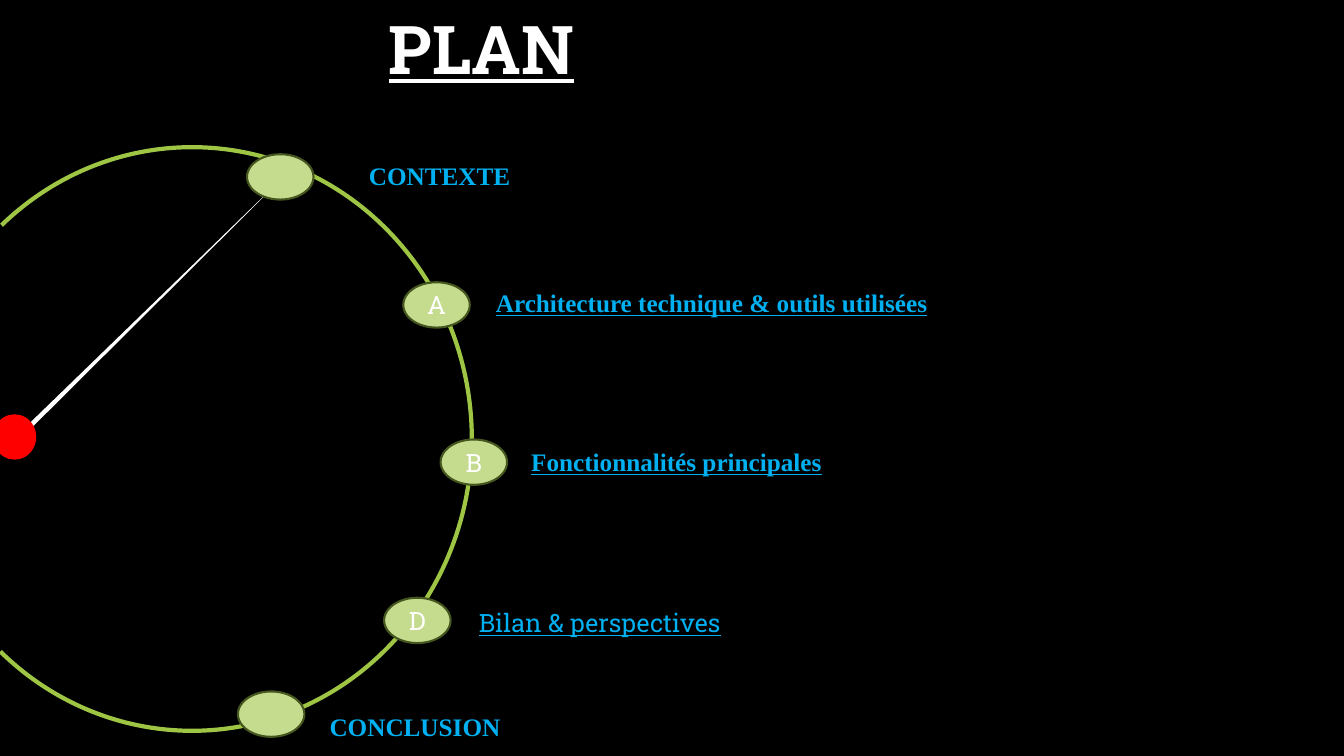
import pptx
import pptx.dml.color
import pptx.enum.shapes
import pptx.enum.text
import pptx.util

Inches = pptx.util.Inches
Pt = pptx.util.Pt
RGBColor = pptx.dml.color.RGBColor
Shape = pptx.enum.shapes.MSO_SHAPE
Anchor = pptx.enum.text.MSO_ANCHOR
Align = pptx.enum.text.PP_ALIGN

BLACK = RGBColor(0x00, 0x00, 0x00)
WHITE = RGBColor(0xFF, 0xFF, 0xFF)
RED = RGBColor(0xFF, 0x00, 0x00)
GREEN = RGBColor(0x9E, 0xC5, 0x44)
PALE_GREEN = RGBColor(0xC5, 0xDC, 0x8F)
DARK_GREEN = RGBColor(0x45, 0x56, 0x1E)
BLUE = RGBColor(0x00, 0xB0, 0xF0)

SLAB = "Roboto Slab"
TIMES = "Times New Roman"
STOP_SIZE = (0.66, 0.45)

STOPS = [
    ("", (2.45, 1.53), "CONTEXTE", (3.56, 1.54, 2.45, 0.71), TIMES, True, False),
    ("A", (4, 2.8), "Architecture technique & outils utilisées",
     (4.82, 2.8, 5.84, 1.31), TIMES, True, True),
    ("B", (4.37, 4.36), "Fonctionnalités principales",
     (5.17, 4.38, 4.86, 1.01), TIMES, True, True),
    ("D", (3.81, 5.93), "Bilan & perspectives",
     (4.65, 5.98, 5.89, 0.71), SLAB, False, True),
    ("", (2.36, 6.86), "CONCLUSION", (3.17, 7.01, 2.45, 0.49), TIMES, True, False),
]


def add_shape(page, kind, box, fill=None, line=None, weight=0):
    shape = page.shapes.add_shape(kind, *map(Inches, box))
    shape.shadow.inherit = False
    if fill is None:
        shape.fill.background()
    else:
        shape.fill.solid()
        shape.fill.fore_color.rgb = fill
    if line is None:
        shape.line.fill.background()
    else:
        shape.line.color.rgb = line
        shape.line.width = Pt(weight)
    return shape


def write(frame, text, name, size, color, bold=False, underline=False):
    frame.word_wrap = True
    para = frame.paragraphs[0]
    para.text = text
    font = para.font
    font.name = name
    font.size = Pt(size)
    font.color.rgb = color
    font.bold = bold
    font.underline = underline
    return para


def add_title(page, box):
    frame = page.shapes.add_textbox(*map(Inches, box)).text_frame
    frame.vertical_anchor = Anchor.BOTTOM
    para = write(frame, "PLAN", SLAB, 48, WHITE, True, True)
    para.line_spacing = 0.9


def add_dial(page, box):
    left, top, width, height = box
    needle = add_shape(page, Shape.ISOSCELES_TRIANGLE,
                       (left + 2.32, top - 0.28, 0.05, 3.78), WHITE)
    needle.rotation = 45.5
    add_shape(page, Shape.OVAL, (left + 0.8, top + 2.65, 0.43, 0.45), RED)
    rim = add_shape(page, Shape.ARC, box, line=GREEN, weight=3)
    rim.adjustments[0] = 136.975
    rim.adjustments[1] = 79.224


def add_stop(page, letter, corner, label, label_box, name, bold, underline):
    marker = add_shape(page, Shape.OVAL, corner + STOP_SIZE, PALE_GREEN, DARK_GREEN, 1.5)
    if letter:
        frame = marker.text_frame
        frame.margin_left = frame.margin_right = 0
        frame.margin_top = frame.margin_bottom = 0
        frame.vertical_anchor = Anchor.MIDDLE
        write(frame, letter, SLAB, 18, WHITE).alignment = Align.CENTER
    frame = page.shapes.add_textbox(*map(Inches, label_box)).text_frame
    write(frame, label, name, 18, BLUE, bold, underline)


def main():
    deck = pptx.Presentation()
    deck.slide_width = Inches(13.33)
    deck.slide_height = Inches(7.5)
    page = deck.slides.add_slide(deck.slide_layouts[6])
    page.background.fill.solid()
    page.background.fill.fore_color.rgb = BLACK
    add_dial(page, (-0.87, 1.46, 5.55, 5.79))
    for stop in STOPS:
        add_stop(page, *stop)
    add_title(page, (3.76, 0.01, 9.57, 0.92))
    deck.save("out.pptx")


if __name__ == "__main__":
    main()
